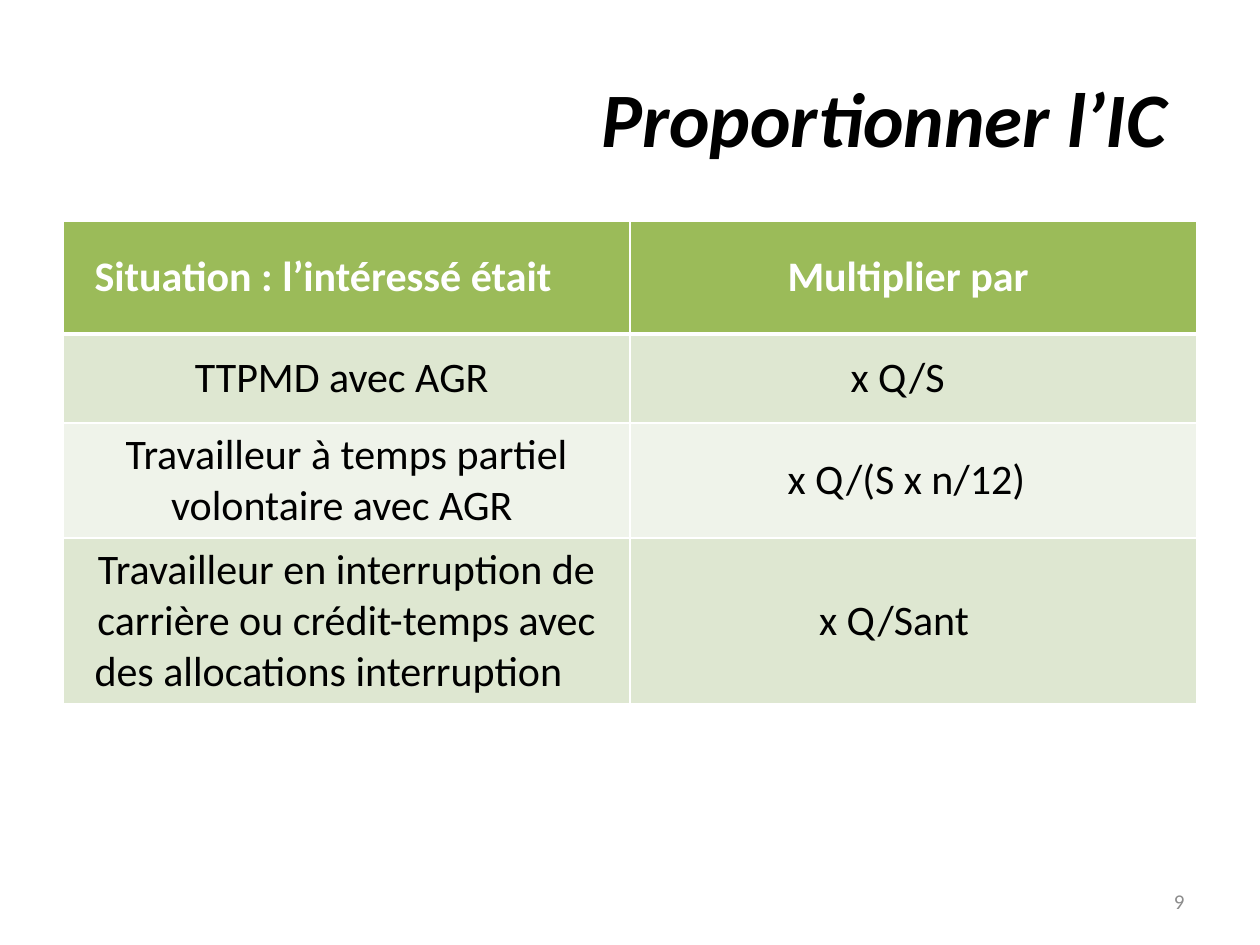
from pptx import Presentation
from pptx.dml.color import RGBColor
from pptx.enum.text import MSO_ANCHOR, PP_ALIGN
from pptx.oxml import parse_xml
from pptx.oxml.ns import nsdecls
from pptx.util import Emu, Pt

WHITE = RGBColor(0xFF, 0xFF, 0xFF)
BLACK = RGBColor(0x00, 0x00, 0x00)
GREY = RGBColor(0x8C, 0x8C, 0x8C)
GREEN = RGBColor(0x9B, 0xBB, 0x59)
BAND_DARK = RGBColor(0xDE, 0xE7, 0xD1)
BAND_LIGHT = RGBColor(0xEF, 0xF3, 0xEA)

SITUATIONS = [
    ("Situation : l’intéressé était \t", "Multiplier par \t"),
    ("TTPMD avec AGR ", "x Q/S \t"),
    ("Travailleur à temps partiel volontaire avec AGR ", "x Q/(S x n/12) \t"),
    ("Travailleur en interruption de carrière ou crédit-temps avec "
     "des allocations interruption \t", "x Q/Sant \t"),
]
ROW_HEIGHTS = [113, 89, 115, 166]


def px(length):
    return Emu(round(length * 914400 / 126))


def style(paragraph, size, color, align, bold=False, italic=False):
    paragraph.alignment = align
    font = paragraph.font
    font.name = "Calibri"
    font.size = Pt(size)
    font.bold = bold
    font.italic = italic
    font.color.rgb = color


def add_line(slide, box, text, size, color, **emphasis):
    frame = slide.shapes.add_textbox(*map(px, box)).text_frame
    frame.word_wrap = True
    frame.vertical_anchor = MSO_ANCHOR.MIDDLE
    frame.text = text
    style(frame.paragraphs[0], size, color, PP_ALIGN.RIGHT, **emphasis)


def set_borders(cell, bottom_width):
    properties = cell._tc.get_or_add_tcPr()
    widths = {"lnL": 1, "lnR": 1, "lnT": 1, "lnB": bottom_width}
    for position, (side, width) in enumerate(widths.items()):
        properties.insert(position, parse_xml(
            f'<a:{side} {nsdecls("a")} w="{Pt(width)}"><a:solidFill>'
            f'<a:srgbClr val="{WHITE}"/></a:solidFill></a:{side}>'))


def add_situations(slide, left, top, width):
    table = slide.shapes.add_table(
        len(SITUATIONS), 2,
        *map(px, (left, top, width, sum(ROW_HEIGHTS)))).table
    for column in table.columns:
        column.width = px(width // 2)
    for index, (texts, height) in enumerate(zip(SITUATIONS, ROW_HEIGHTS)):
        header = index == 0
        band = BAND_DARK if index % 2 else BAND_LIGHT
        table.rows[index].height = px(height)
        for cell, text in zip(table.rows[index].cells, texts):
            cell.text = text
            cell.vertical_anchor = MSO_ANCHOR.MIDDLE
            cell.fill.solid()
            cell.fill.fore_color.rgb = GREEN if header else band
            set_borders(cell, 3 if header else 1)
            style(cell.text_frame.paragraphs[0], 24,
                  WHITE if header else BLACK, PP_ALIGN.CENTER, bold=header)


def main():
    presentation = Presentation()
    presentation.slide_width = px(1260)
    presentation.slide_height = px(945)
    slide = presentation.slides.add_slide(presentation.slide_layouts[6])
    add_line(slide, (63, 38, 1134, 158), "Proportionner l’IC ", 44, BLACK,
             bold=True, italic=True)
    add_situations(slide, 63, 221, 1134)
    add_line(slide, (903, 876, 294, 50), "9", 12, GREY)
    presentation.save("out.pptx")


if __name__ == "__main__":
    main()
